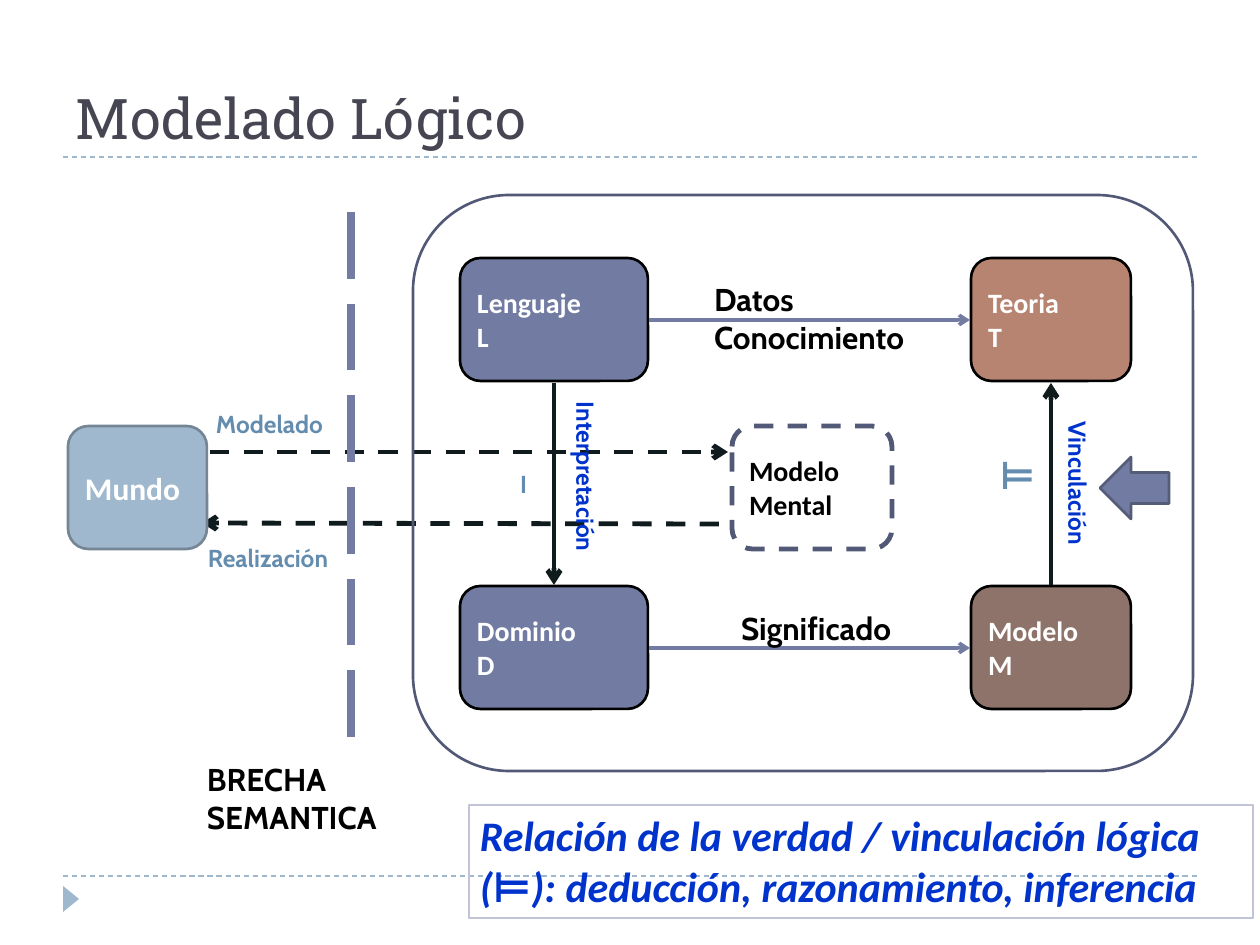
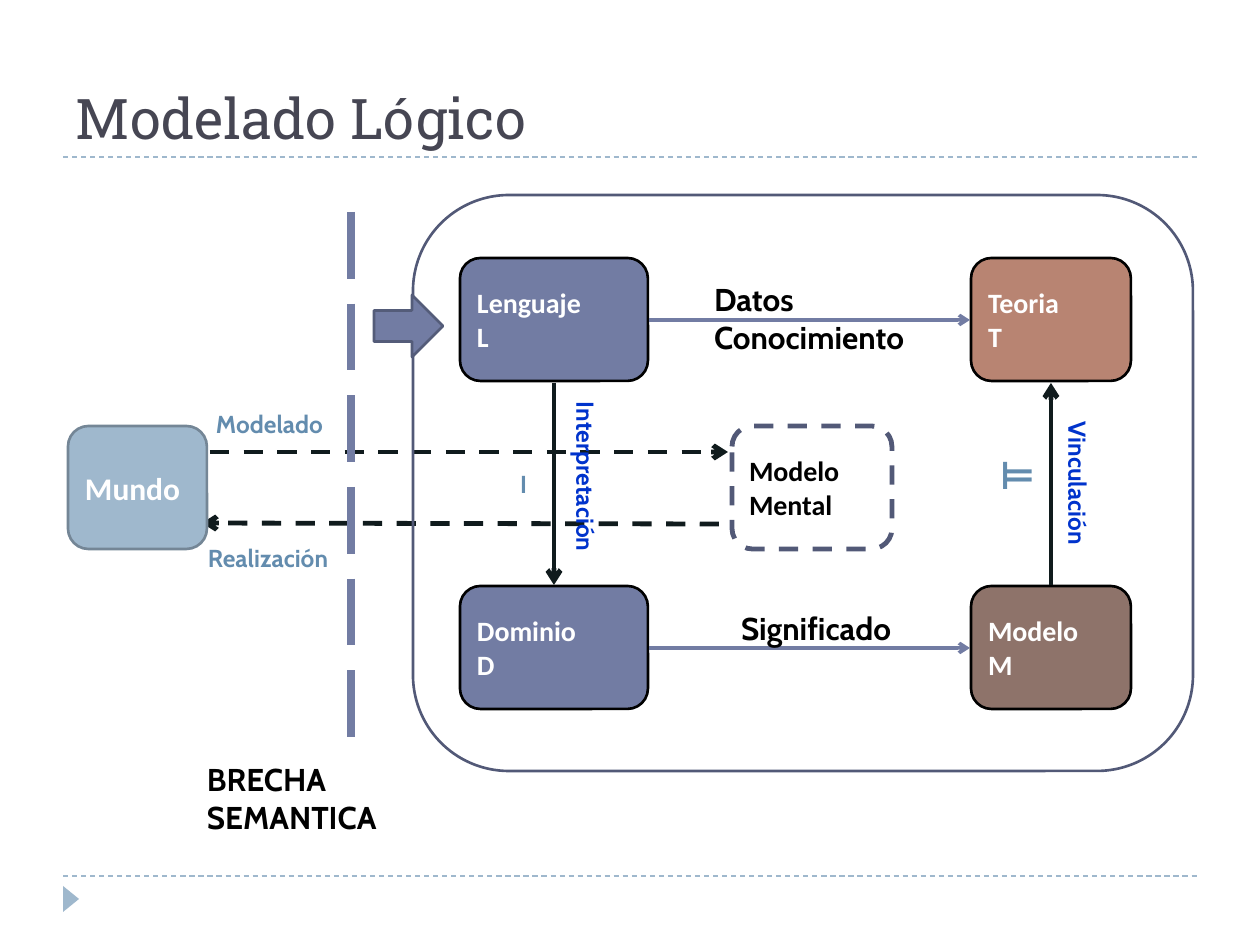
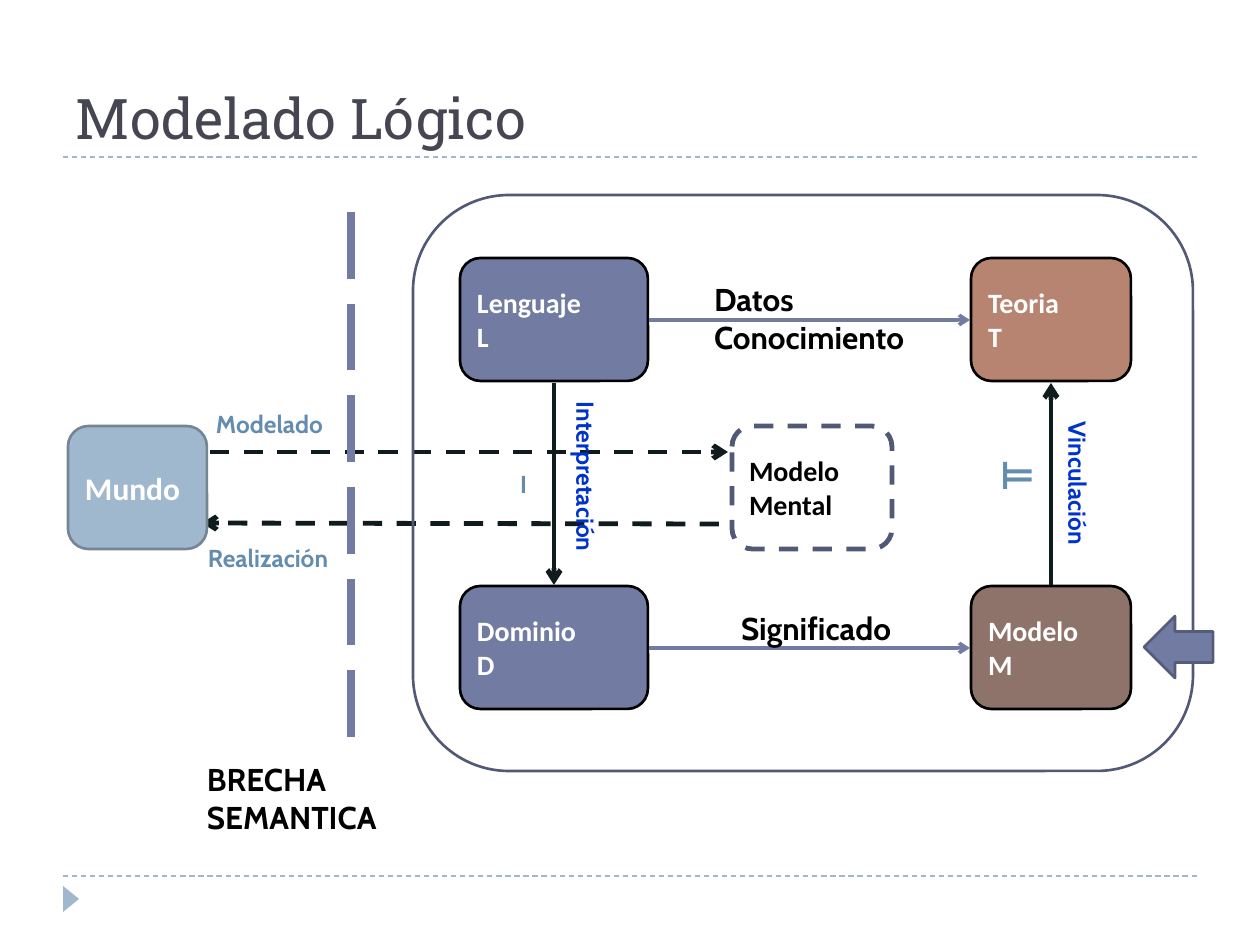
from lxml import etree
from pptx import Presentation
from pptx.dml.color import RGBColor
from pptx.enum.dml import MSO_LINE
from pptx.enum.shapes import MSO_CONNECTOR, MSO_SHAPE
from pptx.enum.text import MSO_ANCHOR, MSO_AUTO_SIZE, PP_ALIGN
from pptx.oxml.ns import qn
from pptx.util import Pt

SCALE = 914400 / 126
ROUND, RECT = MSO_SHAPE.ROUNDED_RECTANGLE, MSO_SHAPE.RECTANGLE
ARROW, WEDGE = MSO_SHAPE.RIGHT_ARROW, MSO_SHAPE.ISOSCELES_TRIANGLE
DASH, LONG = MSO_LINE.DASH, MSO_LINE.LONG_DASH
TOP, MIDDLE, BOTTOM = MSO_ANCHOR.TOP, MSO_ANCHOR.MIDDLE, MSO_ANCHOR.BOTTOM
LEFT = PP_ALIGN.LEFT
GROW, FIXED = MSO_AUTO_SIZE.SHAPE_TO_FIT_TEXT, MSO_AUTO_SIZE.NONE
STRAIGHT = MSO_CONNECTOR.STRAIGHT

HUES = {
    "title": "464653", "pale": "9FB8CD", "rim": "748696",
    "slate": "727CA3", "frame": "525977", "edge": "545C79",
    "clay": "B88472", "brown": "8E736A", "ink": "101B1D",
    "steel": "638CAE", "blue": "0033CC", "note": "C0C4D6",
    "black": "000000", "white": "FFFFFF",
}


def px(n):
    return round(n * SCALE)


def hue(name):
    return RGBColor.from_string(HUES[name])


def put(shape, text, size=14, font="Cabin", color="black", bold=True,
        italic=False, anchor=TOP, inset=(11, 5), wrap=True, fit=FIXED,
        before=0, turn=None):
    frame = shape.text_frame
    frame.word_wrap, frame.auto_size = wrap, fit
    frame.vertical_anchor = anchor
    frame.margin_left = frame.margin_right = px(inset[0])
    frame.margin_top = frame.margin_bottom = px(inset[1])
    if turn:
        frame._txBody.bodyPr.set("vert", turn)
    for i, line in enumerate(text.split("\n")):
        para = frame.add_paragraph() if i else frame.paragraphs[0]
        para.alignment, para.space_before = LEFT, Pt(before)
        run = para.add_run()
        run.text = line
        face = run.font
        face.name, face.size = font, Pt(size)
        face.bold, face.italic = bold, italic
        face.color.rgb = hue(color)


def label(slide, text, x, y, w, h, **form):
    area = slide.shapes.add_textbox(px(x), px(y), px(w), px(h))
    put(area, text, **form)


def tag(slide, text, x, y, w, h, **form):
    label(slide, text, x, y, w, h, wrap=False, fit=GROW, **form)


def solid(slide, kind, x, y, w, h, fill=None, edge=None, width=1.5, dash=None):
    shape = slide.shapes.add_shape(kind, px(x), px(y), px(w), px(h))
    shape.shadow.inherit = False
    if fill:
        shape.fill.solid()
        shape.fill.fore_color.rgb = hue(fill)
    else:
        shape.fill.background()
    if edge:
        shape.line.color.rgb = hue(edge)
        shape.line.width = Pt(width)
        if dash:
            shape.line.dash_style = dash
    else:
        shape.line.fill.background()
    return shape


def line(slide, x, y, right, down, color, width, dash=None, tip=False):
    rule = slide.shapes.add_connector(STRAIGHT, px(x), px(y), px(right), px(down))
    rule.line.color.rgb = hue(color)
    rule.line.width = Pt(width)
    if dash:
        rule.line.dash_style = dash
    if tip:
        etree.SubElement(rule.line._ln, qn("a:tailEnd"), type="arrow")
    etree.SubElement(rule._element.spPr, qn("a:effectLst"))


def node(slide, text, x, y, w, h, fill, edge="black", size=16,
         color="white", **look):
    shape = solid(slide, ROUND, x, y, w, h, fill, edge, **look)
    put(shape, text, size=size, font="Calibri", color=color, anchor=MIDDLE)


def base(slide, x, y, w, h):
    for top in (y + h, y + 136):
        line(slide, x, top, x + w, top, "pale", 0.75, DASH)
    solid(slide, WEDGE, x - 5, y + h + 15, 26, 16, "pale").rotation = 90
    label(slide, "Modelado Lógico", x, y, w, 136, size=32, font="Roboto Slab",
          color="title", bold=False, anchor=BOTTOM, inset=(13, 6))


def world(slide, x, y, w, h):
    line(slide, x + 142, y + 26, x + 660, y + 26, "ink", 2.75, DASH, True)
    line(slide, x + 651, y + 98, x + 134, y + 97, "ink", 2.75, DASH, True)
    tag(slide, "Modelado", x + 137, y - 22, 137, 42, color="steel")
    tag(slide, "Realización", x + 129, y + 112, 159, 42, color="steel")
    node(slide, "Mundo", x, y, w, h, "pale", "rim", size=18)


def gap(slide, x, y, h):
    line(slide, x, y, x, y + h, "slate", 4.75, LONG, True and False)
    tag(slide, "BRECHA\nSEMANTICA", x - 155, y + 543, 212, 88, size=18)


def model(slide, x, y, w, h):
    solid(slide, ROUND, x, y, w, h, edge="frame")
    near, far = (x + 47, 188), (x + 558, 160)
    high, low, tall = y + 63, y + 391, 123
    for text, (left, wide), top, fill in (
            ("Lenguaje\nL", near, high, "slate"),
            ("Teoria\nT", far, high, "clay"),
            ("Dominio\nD", near, low, "slate"),
            ("Modelo\nM", far, low, "brown")):
        node(slide, text, left, top, wide, tall, fill)
    for top in (high, low):
        mid = top + 62
        line(slide, x + 236, mid, x + 557, mid, "slate", 2, tip=True)
    tag(slide, "Datos\nConocimiento", x + 290, y + 80, 234, 88, size=18)
    tag(slide, "Significado", x + 317, y + 409, 194, 49, size=18)
    node(slide, "Modelo\nMental", x + 319, y + 231, 160, tall, None, "frame",
         color="black", width=2.75, dash=DASH)
    start, stop = high + tall + 2, low - 1
    line(slide, x + 141, start, x + 141, stop, "ink", 2.75, tip=True)
    line(slide, x + 638, stop, x + 638, start, "ink", 2.75, tip=True)
    tag(slide, "Interpretación", x + 146, y + 202, 53, 176,
        color="blue", turn="eaVert")
    tag(slide, "Vinculación", x + 638, y + 222, 53, 149,
        color="blue", turn="eaVert")
    tag(slide, "I", x + 96, y + 269, 30, 42, color="steel")
    tag(slide, "⊨", x + 576, y + 251, 50, 58, size=22, font="Arial",
        color="steel")


def note(slide, x, y, w, h):
    area = solid(slide, RECT, x, y, w, h, edge="note", width=0.75)
    put(area, "Relación de la verdad / vinculación lógica (⊨): "
        "deducción, razonamiento, inferencia", size=24, font="Calibri",
        color="blue", italic=True, before=6, fit=GROW)


def scene(deck, x, y, turn):
    slide = deck.slides.add_slide(deck.slide_layouts[6])
    base(slide, 63, 21, 1134, 855)
    world(slide, 68, 426, 139, 123)
    model(slide, 413, 195, 780, 576)
    gap(slide, 351, 212, 535)
    solid(slide, ARROW, x, y, 69, 62, "slate", "edge").rotation = turn
    return slide


deck = Presentation()
deck.slide_width, deck.slide_height = px(1260), px(945)
first = scene(deck, 1100, 457, 180)
note(first, 469, 805, 784, 113)
scene(deck, 374, 295, 0)
scene(deck, 1144, 616, 180)
deck.save("out.pptx")
